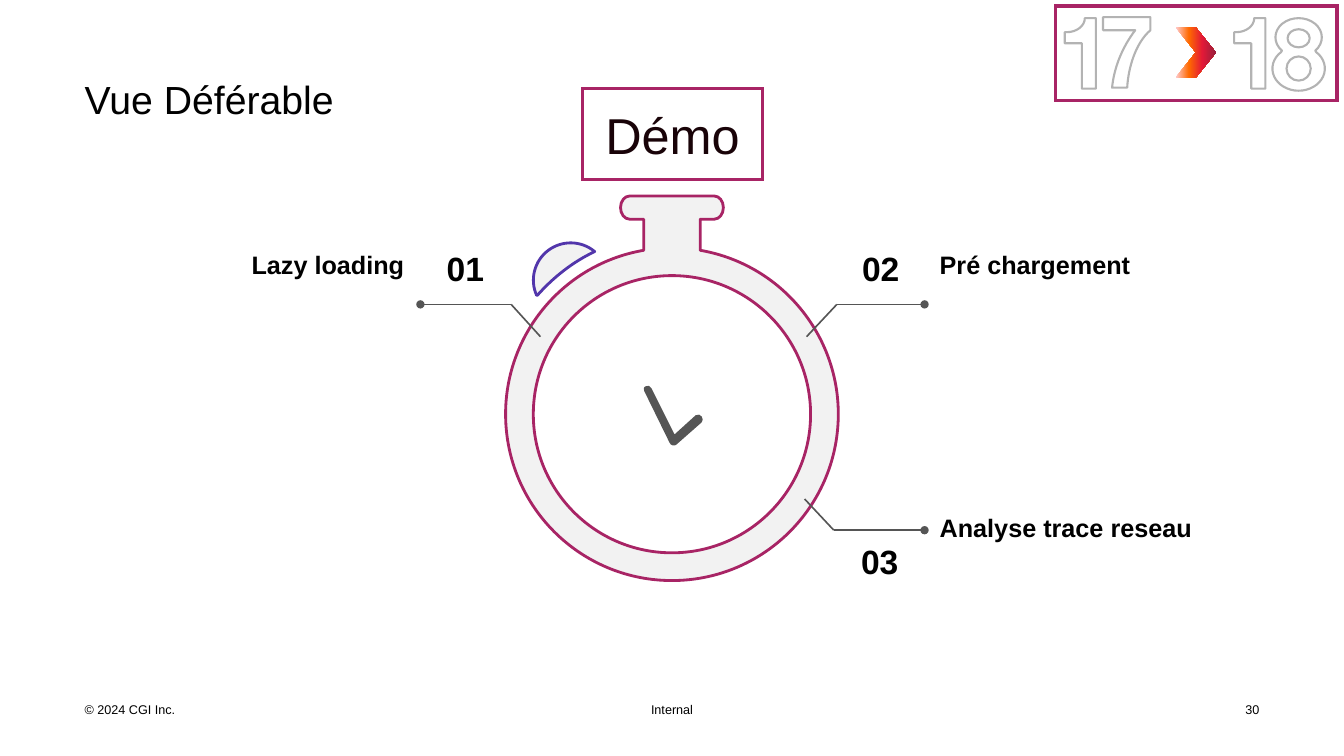
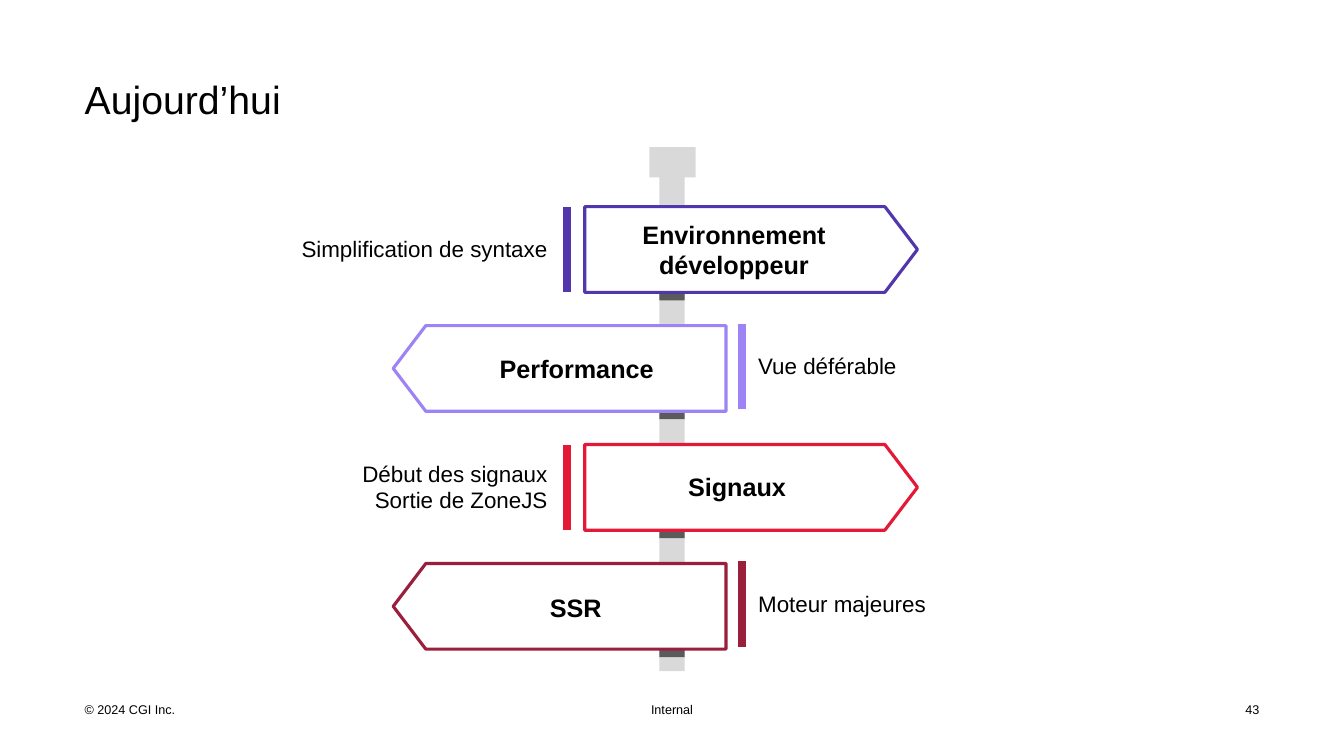
from math import asin, ceil, cos, degrees, radians, sin, tan

from lxml import etree
from pptx import Presentation
from pptx.dml.color import RGBColor
from pptx.enum.shapes import MSO_CONNECTOR, MSO_SHAPE
from pptx.enum.text import MSO_ANCHOR, MSO_AUTO_SIZE, PP_ALIGN
from pptx.oxml.ns import qn
from pptx.util import Inches, Pt

LEFT, CENTER, RIGHT = PP_ALIGN.LEFT, PP_ALIGN.CENTER, PP_ALIGN.RIGHT
TOP, MIDDLE, BOTTOM = MSO_ANCHOR.TOP, MSO_ANCHOR.MIDDLE, MSO_ANCHOR.BOTTOM
RECTANGLE, CHEVRON, PENTAGON = MSO_SHAPE.RECTANGLE, MSO_SHAPE.CHEVRON, MSO_SHAPE.PENTAGON

FONT = "Arial"
BLACK, WHITE, INK = "000000", "FFFFFF", "190308"
PLUM, PURPLE, LILAC, RED, WINE = "A82465", "5236AB", "9E83F5", "E31937", "991F3D"
PALE, POST, BAND, GRAPHITE, OUTLINE = "F2F2F2", "D9D9D9", "5A5A5A", "555555", "B3B3B3"
PLAIN_TABLE = "{2D5ABB26-0587-4C30-8999-92F81FD0307C}"

FOOTERS = [("© 2024 CGI Inc.", (0.84, 6.96, 3, 0.15), LEFT),
           ("Internal", (6.44, 6.96, 0.45, 0.15), CENTER)]
PAGE_NUMBER_AT = (12.2, 6.96, 0.29, 0.15)

CALLOUTS = [
    {"number": "01", "number_at": (4.16, 2.41), "label": "Lazy loading", "label_at": (0.84, 2.47),
     "align": RIGHT, "leader": [(5.36, 3.34), (5.07, 3.02), (4.17, 3.02)]},
    {"number": "02", "number_at": (8.28, 2.41), "label": "Pré chargement", "label_at": (9.32, 2.47),
     "align": LEFT, "leader": [(8, 3.34), (8.3, 3.02), (9.17, 3.02)]},
    {"number": "03", "number_at": (8.27, 5.32), "label": "Analyse trace reseau", "label_at": (9.32, 5.08),
     "align": LEFT, "leader": [(7.98, 4.95), (8.27, 5.26), (9.17, 5.26)]},
]
CHEVRON_STOPS = [(0, "FFCDD2"), (33, "FF6A00"), (66, RED), (100, WINE)]
HANDS = [(6.9, 4.12), (6.69, 4.31), (6.46, 3.85),
         (6.45, 3.83, 6.43, 3.82, 6.41, 3.83), (6.38, 3.84, 6.38, 3.86, 6.39, 3.88),
         (6.64, 4.39), (6.65, 4.42, 6.69, 4.43, 6.71, 4.41),
         (6.96, 4.19), (6.99, 4.16, 6.95, 4.09, 6.9, 4.12)]

SIGNS = [
    ("Environnement développeur", (5.79, 2.05), ["Simplification de syntaxe"], PURPLE),
    ("Performance", (4.23, 3.23), ["Vue déférable"], LILAC),
    ("Signaux", (5.82, 4.4), ["Début des signaux", "Sortie de ZoneJS"], RED),
    ("SSR", (4.22, 5.6), ["Moteur majeures"], WINE),
]
SIGN_TOP, SIGN_PITCH, SIGN_WIDTH, SIGN_HEIGHT = 2.05, 1.18, 3.3, 0.85
BAR_WIDTH = 0.08


def colour(value):
    return RGBColor.from_string(value)


def paint(shape, fill=None, line=None, width=2.25):
    shape.shadow.inherit = False
    if fill:
        shape.fill.solid()
        shape.fill.fore_color.rgb = colour(fill)
    else:
        shape.fill.background()
    if line:
        shape.line.color.rgb = colour(line)
        shape.line.width = Pt(width)
    else:
        shape.line.fill.background()
    return shape


def add_box(page, kind, at, fill, line=None):
    return paint(page.shapes.add_shape(kind, *map(Inches, at)), fill, line)


def add_frame(page, at):
    box = add_box(page, RECTANGLE, at, WHITE, PLUM)
    etree.SubElement(box._element.spPr.find(qn("a:ln")), qn("a:miter"), lim="800000")
    return box


def write(frame, lines, size, align=LEFT, bold=False, ink=BLACK, spacing=None):
    for index, line in enumerate(lines):
        para = frame.paragraphs[0] if index == 0 else frame.add_paragraph()
        para.text = line
        para.alignment = align
        if spacing:
            para.line_spacing = spacing
        para.font.name = FONT
        para.font.size = Pt(size)
        para.font.bold = bold
        para.font.color.rgb = colour(ink)


def set_frame(frame, anchor, inset=0):
    frame.word_wrap = True
    frame.auto_size = MSO_AUTO_SIZE.NONE
    frame.vertical_anchor = anchor
    frame.margin_left = frame.margin_right = Inches(inset)
    frame.margin_top = frame.margin_bottom = Inches(inset)


def add_text(page, at, text, size, align=LEFT, anchor=TOP, bold=False):
    box = page.shapes.add_textbox(*map(Inches, at))
    set_frame(box.text_frame, anchor)
    write(box.text_frame, [text], size, align, bold)
    return box


def arc(x, y, rx, ry, start, end):
    count = ceil(abs(end - start) / 90)
    step = radians(end - start) / count
    pull = 4 / 3 * tan(step / 4)
    angle = radians(start)
    steps = [(x + rx * cos(angle), y + ry * sin(angle))]
    for _ in range(count):
        after = angle + step
        steps.append((x + rx * (cos(angle) - pull * sin(angle)), y + ry * (sin(angle) + pull * cos(angle)),
                      x + rx * (cos(after) + pull * sin(after)), y + ry * (sin(after) - pull * cos(after)),
                      x + rx * cos(after), y + ry * sin(after)))
        angle = after
    return steps


def oval(x, y, rx, ry):
    return arc(x, y, rx, ry, 0, 360)


def add_outline(page, contours, fill, line=None, width=2):
    builder = page.shapes.build_freeform(*map(Inches, contours[0][0]), scale=1.0)
    for index, contour in enumerate(contours):
        if index:
            builder.move_to(*map(Inches, contour[0]))
        points = [step[k:k + 2] for step in contour[1:] for k in range(0, len(step), 2)]
        builder.add_line_segments([(Inches(x), Inches(y)) for x, y in points], close=True)
    shape = builder.convert_to_shape()
    segments = iter(list(shape._element.spPr.iter(qn("a:lnTo"))))
    for step in (step for contour in contours for step in contour[1:]):
        segment = next(segments)
        if len(step) == 6:
            bend = etree.Element(qn("a:cubicBezTo"))
            segment.addprevious(bend)
            for part in (segment, next(segments), next(segments)):
                bend.append(part[0])
                part.getparent().remove(part)
    return paint(shape, fill, line, width)


def add_leader(page, points):
    for start, end in zip(points, points[1:]):
        connector = page.shapes.add_connector(MSO_CONNECTOR.STRAIGHT, *map(Inches, start + end))
        connector.line.color.rgb = colour(GRAPHITE)
        connector.line.width = Pt(1.15)
        properties = connector._element.spPr
        etree.SubElement(properties, qn("a:effectLst"))
        if end == points[-1]:
            etree.SubElement(properties.find(qn("a:ln")), qn("a:tailEnd"), type="oval")


def add_footers(page):
    for text, at, align in FOOTERS:
        box = add_text(page, at, text, 9, align)
        page.slide_layout.shapes._spTree.append(box._element)


def add_page(deck, title, number):
    page = deck.slides.add_slide(deck.slide_layouts[5])
    heading = page.shapes.title
    heading.left, heading.top, heading.width, heading.height = map(Inches, (0.84, 0.75, 11.66, 0.58))
    set_frame(heading.text_frame, TOP)
    write(heading.text_frame, [title], 28)
    add_text(page, PAGE_NUMBER_AT, number, 9, RIGHT)
    return page


def add_stopwatch(page):
    x, y, radius, neck = 6.665, 4.11, 1.65, 0.28
    cap_half, cap_y, cap_radius = 0.42, 2.06, 0.115
    cap_bottom = cap_y + cap_radius
    crown = arc(5.66, 2.78, 0.37, 0.37, 156, 310) + [(5.68, 2.6, 5.49, 2.75, 5.33, 2.93)]
    add_outline(page, [crown], PALE, PURPLE)
    gap = degrees(asin(neck / radius))
    body = (arc(x, y, radius, radius, gap - 90, 270 - gap)
            + [(x - neck, cap_bottom)]
            + arc(x - cap_half, cap_y, 0.09, cap_radius, 90, 270)
            + arc(x + cap_half, cap_y, 0.09, cap_radius, -90, 90)
            + [(x + neck, cap_bottom)])
    add_outline(page, [body, oval(x, y, 1.375, 1.375)], PALE, PLUM)
    add_outline(page, [HANDS], GRAPHITE)


def add_version_badge(page):
    add_frame(page, (10.47, 0.06, 2.79, 0.94))

    def one(x):
        return ([(x, 0.32)] + arc(x + 0.02, 0.18, 0.18, 0.14, 90, 0)
                + [(x + 0.31, 0.18), (x + 0.31, 0.88), (x + 0.17, 0.88), (x + 0.17, 0.43), (x, 0.43)])

    seven = [(10.94, 0.17), (11.41, 0.17), (11.41, 0.3), (11.26, 0.43, 11.19, 0.68, 11.18, 0.87),
             (11.03, 0.87), (11.05, 0.67, 11.13, 0.47, 11.26, 0.3), (10.94, 0.3)]
    middle = 12.88
    eight = (arc(middle, 0.37, 0.23, 0.19, 136, 404)
             + arc(middle, 0.68, 0.26, 0.22, -48, 228))
    holes = [oval(middle, 0.38, 0.11, 0.09), oval(middle, 0.68, 0.12, 0.12)]
    for contours in ([one(10.56)], [seven], [one(12.24)], [eight] + holes):
        add_outline(page, contours, None, OUTLINE, 1.5)

    arrow = add_box(page, CHEVRON, (11.66, 0.27, 0.4, 0.5), RED)
    arrow.fill.gradient()
    arrow.fill.gradient_angle = 0
    stops = arrow._element.spPr.find(qn("a:gradFill")).find(qn("a:gsLst"))
    for stop in list(stops):
        stops.remove(stop)
    for position, value in CHEVRON_STOPS:
        stop = etree.SubElement(stops, qn("a:gs"), pos=str(position * 1000))
        etree.SubElement(stop, qn("a:srgbClr"), val=value)


def build_demo(deck):
    page = add_page(deck, "Vue Déférable", "30")
    add_footers(page)
    add_stopwatch(page)
    for callout in CALLOUTS:
        add_leader(page, callout["leader"])
        add_text(page, (*callout["number_at"], 0.91, 0.45), callout["number"], 24, CENTER, BOTTOM, True)
        add_text(page, (*callout["label_at"], 3.17, 1.38), callout["label"], 18, callout["align"], bold=True)
    demo = add_frame(page, (5.78, 0.88, 1.78, 0.9))
    set_frame(demo.text_frame, MIDDLE, 0.12)
    write(demo.text_frame, ["Démo"], 36, CENTER, ink=INK)
    add_version_badge(page)


def add_detail(page, lines, value, top, points_right):
    if points_right:
        left, widths, text_column, inset, align = 1.87, [3.71, BAR_WIDTH], 0, 0.15, RIGHT
    else:
        left, widths, text_column, inset, align = 7.32, [BAR_WIDTH, 3.73], 1, 0.12, LEFT
        top -= 0.02
    frame = page.shapes.add_table(1, 2, *map(Inches, (left, top, sum(widths), SIGN_HEIGHT)))
    table = frame.table
    table.first_row = table.horz_banding = False
    table._tbl.tblPr.find(qn("a:tableStyleId")).text = PLAIN_TABLE
    for column, width in zip(table.columns, widths):
        column.width = Inches(width)
    text_cell, bar = table.cell(0, text_column), table.cell(0, 1 - text_column)
    bar.fill.solid()
    bar.fill.fore_color.rgb = colour(value)
    bar.margin_left = bar.margin_right = 0
    text_cell.fill.background()
    text_cell.vertical_anchor = MIDDLE
    text_cell.margin_left = text_cell.margin_right = Inches(inset)
    text_cell.margin_top = text_cell.margin_bottom = Inches(0.15)
    write(text_cell.text_frame, lines, 16, align, spacing=1.05)


def build_signpost(deck):
    page = add_page(deck, "Aujourd’hui", "43")
    add_box(page, RECTANGLE, (6.54, 1.46, 0.25, 5.2), POST)
    add_box(page, RECTANGLE, (6.44, 1.46, 0.46, 0.3), POST)
    for index, (label, label_at, lines, value) in enumerate(SIGNS):
        top = SIGN_TOP + index * SIGN_PITCH
        points_right = index % 2 == 0
        add_box(page, RECTANGLE, (6.54, top + 0.8, 0.25, 0.13), BAND)
        sign_left = 5.8 if points_right else 3.9
        sign = add_box(page, PENTAGON, (sign_left, top, SIGN_WIDTH, SIGN_HEIGHT), WHITE, value)
        sign.adjustments[0] = 0.38
        sign.rotation = 0 if points_right else 180
        add_text(page, (*label_at, 2.98, SIGN_HEIGHT), label, 18, CENTER, MIDDLE, True)
        add_detail(page, lines, value, top, points_right)


def main():
    deck = Presentation()
    deck.slide_width, deck.slide_height = Inches(13.33), Inches(7.5)
    build_demo(deck)
    build_signpost(deck)
    deck.save("out.pptx")


if __name__ == "__main__":
    main()
